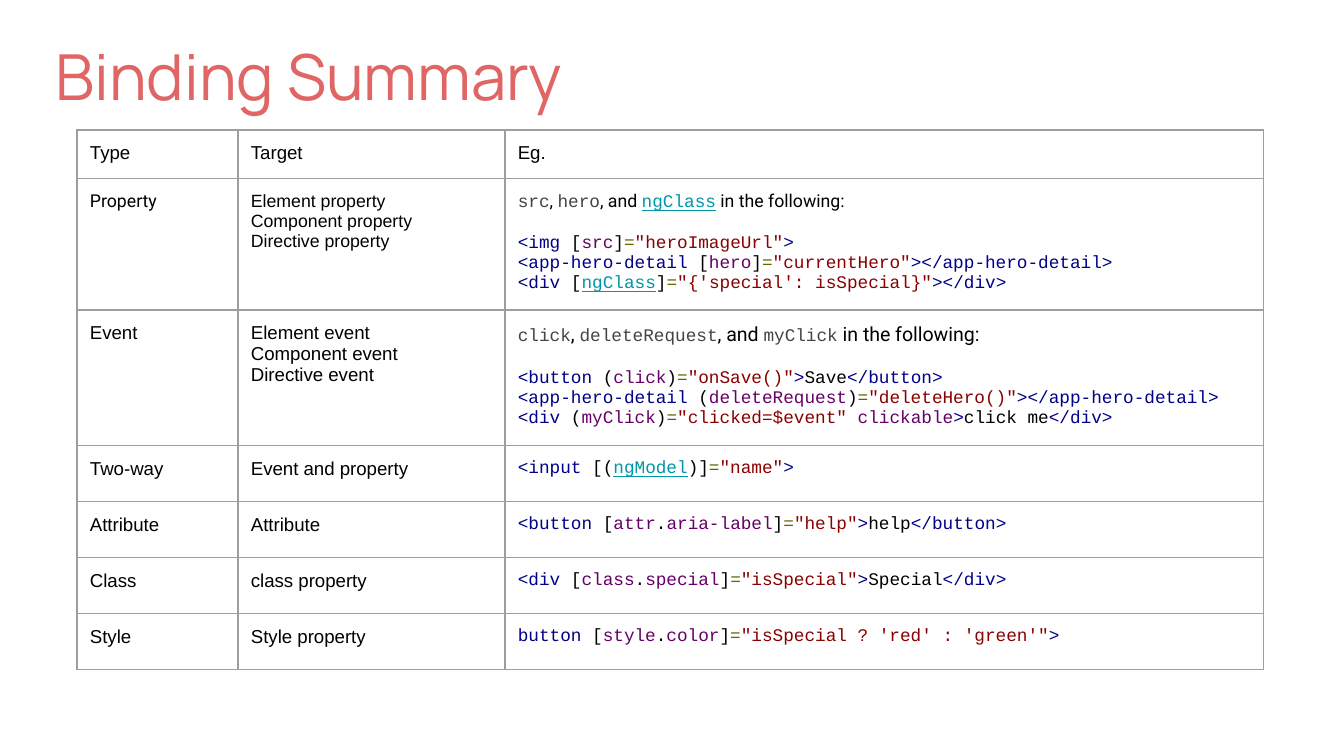
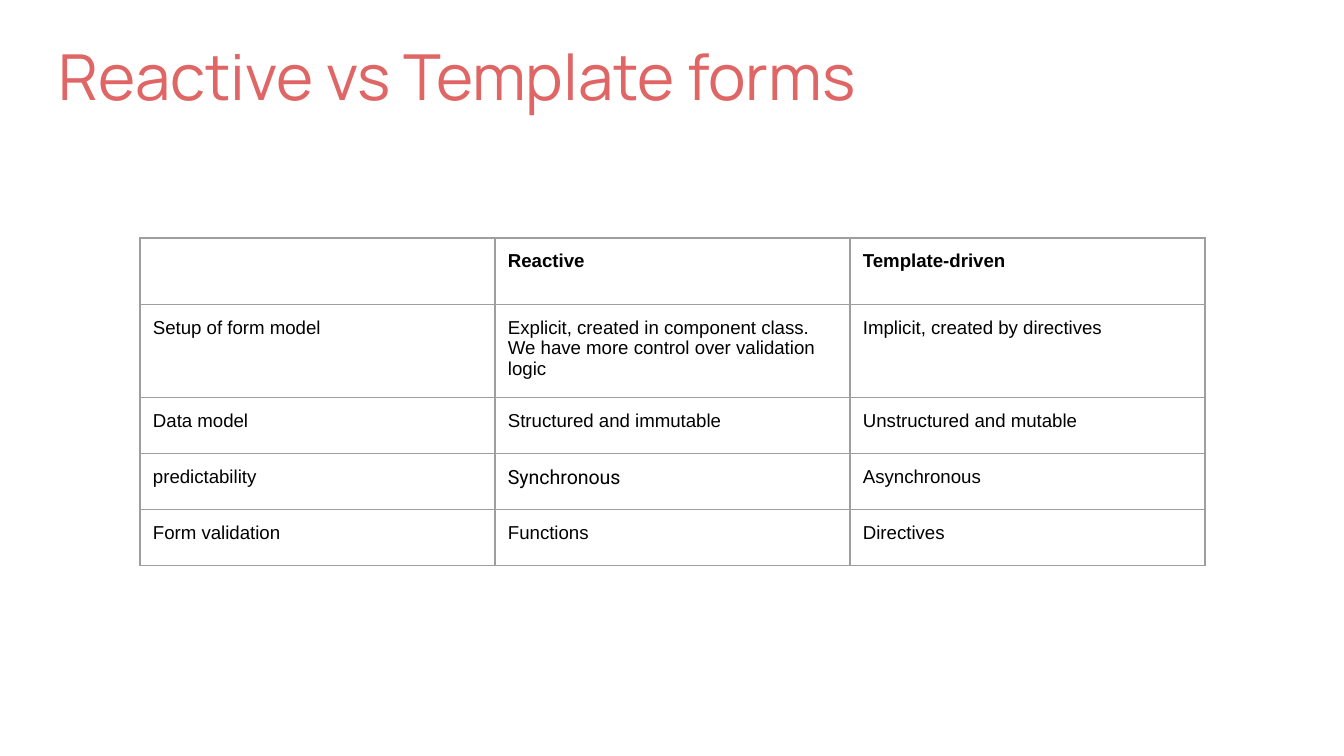
import dataclasses

import pptx
import pptx.dml.color
import pptx.enum.text
import pptx.oxml.ns
import pptx.util
from lxml import etree


# Theme: colours, fonts and type sizes
@dataclasses.dataclass(frozen=True)
class Theme:
    paper: str = "FFFFFF"
    title: str = "E06666"
    text: str = "000000"
    border: str = "9E9E9E"
    mention: str = "444444"
    link: str = "0097A7"
    tag: str = "000088"
    attribute: str = "660066"
    equals: str = "666600"
    value: str = "880000"
    title_font: str = "Manrope"
    body_font: str = "Arial"
    prose_font: str = "Roboto"
    code_font: str = "Courier New"
    title_size: float = 34
    body_size: float = 10
    code_size: float = 9.5
    prose_size: float = 10.5
    border_width: float = 0.75


THEME = Theme()
PIXELS_PER_INCH = 134.4
SLIDE_SIZE = (1344, 756)
INSET = 13
ROW = 56
LINKED = {"ngClass", "ngModel"}


def px(length):
    return pptx.util.Emu(round(length * 914400 / PIXELS_PER_INCH))


# Text: a span is (text, format), a line is a list of spans
def span(text, **style):
    return text, style


def prose(text, size=THEME.prose_size):
    return span(text, font=THEME.prose_font, size=size)


def code(text, color=THEME.text):
    linked = text in LINKED
    return span(text, font=THEME.code_font, size=THEME.code_size,
                color=THEME.link if linked else color, underline=linked)


def mention(text):
    return code(text, THEME.mention)


def lines(*texts, **style):
    return [[span(text, **style)] for text in texts]


def binding(tag, target, value, end=">", body="", flag=""):
    """Spans of one markup line, such as <div [name]="value">body</div>."""
    name = target.strip("[]()")
    opening, closing = target.split(name)
    spans = [code(tag, THEME.tag), code(" " + opening)]
    for index, part in enumerate(name.split(".")):
        if index:
            spans.append(code("."))
        spans.append(code(part, THEME.attribute))
    spans += [code(closing), code("=", THEME.equals)]
    if flag:
        spans += [code(f'"{value}" ', THEME.value), code(flag, THEME.attribute)]
    else:
        spans.append(code(f'"{value}"', THEME.value))
    spans.append(code(end, THEME.tag))
    if body:
        spans += [code(body), code(f"</{tag[1:]}>", THEME.tag)]
    return spans


def add_span(para, text, font=THEME.body_font, size=THEME.body_size,
             color=THEME.text, bold=False, underline=False):
    run = para.add_run()
    run.text = text
    run.font.name = font
    run.font.size = pptx.util.Pt(size)
    run.font.bold = bold
    run.font.underline = underline
    run.font.color.rgb = pptx.dml.color.RGBColor.from_string(color)


def fill_text(frame, content, gap=0):
    """Write the lines; gap is the space in points below the first one."""
    for index, spans in enumerate(content):
        para = frame.add_paragraph() if index else frame.paragraphs[0]
        if index == 1 and gap:
            para.space_before = pptx.util.Pt(gap)
        for text, style in spans:
            add_span(para, text, **style)


def set_insets(target):
    target.margin_left = target.margin_right = px(INSET)
    target.margin_top = target.margin_bottom = px(INSET)


# Slide parts
def add_page(deck, title, left, width):
    page = deck.slides.add_slide(deck.slide_layouts[6])
    page.background.fill.solid()
    page.background.fill.fore_color.rgb = pptx.dml.color.RGBColor.from_string(THEME.paper)
    box = page.shapes.add_textbox(px(left), px(24), px(width), px(102))
    frame = box.text_frame
    frame.word_wrap = True
    frame.vertical_anchor = pptx.enum.text.MSO_ANCHOR.BOTTOM
    set_insets(frame)
    fill_text(frame, lines(title, font=THEME.title_font, size=THEME.title_size,
                           color=THEME.title))
    return page


def add_borders(cell):
    properties = cell._tc.get_or_add_tcPr()
    for side in ("lnL", "lnR", "lnT", "lnB"):
        line = etree.SubElement(properties, pptx.oxml.ns.qn(f"a:{side}"),
                                w=str(pptx.util.Pt(THEME.border_width)))
        fill = etree.SubElement(line, pptx.oxml.ns.qn("a:solidFill"))
        etree.SubElement(fill, pptx.oxml.ns.qn("a:srgbClr"), val=THEME.border)


def add_grid(page, left, top, widths, heights, rows, gaps=None):
    """Table of cells; gaps maps (row, column) to a gap for fill_text."""
    gaps = gaps or {}
    table = page.shapes.add_table(len(heights), len(widths), px(left), px(top),
                                  px(sum(widths)), px(sum(heights))).table
    table.first_row = table.horz_banding = False
    for column, width in zip(table.columns, widths):
        column.width = px(width)
    for row, height in zip(table.rows, heights):
        row.height = px(height)
    for row_index, row in enumerate(rows):
        for column_index, content in enumerate(row):
            cell = table.cell(row_index, column_index)
            set_insets(cell)
            add_borders(cell)
            cell.fill.background()
            fill_text(cell.text_frame, lines(content) if isinstance(content, str) else content,
                      gaps.get((row_index, column_index), 0))


# Slides
def add_binding_summary(deck):
    page = add_page(deck, "Binding Summary", 43, 659)
    small = THEME.code_size
    property_examples = [
        [mention("src"), prose(", ", small), mention("hero"), prose(", and ", small),
         code("ngClass"), prose(" in the following:", small)],
        binding("<img", "[src]", "heroImageUrl"),
        binding("<app-hero-detail", "[hero]", "currentHero", "></app-hero-detail>"),
        binding("<div", "[ngClass]", "{'special': isSpecial}", "></div>"),
    ]
    event_examples = [
        [mention("click"), prose(", "), mention("deleteRequest"), prose(", and "),
         mention("myClick"), prose(" in the following:")],
        binding("<button", "(click)", "onSave()", body="Save"),
        binding("<app-hero-detail", "(deleteRequest)", "deleteHero()", "></app-hero-detail>"),
        binding("<div", "(myClick)", "clicked=$event", body="click me", flag="clickable"),
    ]
    rows = [
        ["Type", "Target", "Eg."],
        [[[prose("Property", small)]],
         lines("Element property", "Component property", "Directive property", size=small),
         property_examples],
        ["Event", lines("Element event", "Component event", "Directive event"), event_examples],
        ["Two-way", "Event and property", [binding("<input", "[(ngModel)]", "name")]],
        ["Attribute", "Attribute",
         [binding("<button", "[attr.aria-label]", "help", body="help")]],
        ["Class", "class property",
         [binding("<div", "[class.special]", "isSpecial", body="Special")]],
        ["Style", "Style property",
         [binding("button", "[style.color]", "isSpecial ? 'red' : 'green'")]],
    ]
    add_grid(page, 77, 130, [161, 267, 759], [48, 130, 133] + [ROW] * 4, rows,
             gaps={(1, 2): 11, (2, 2): 12})


def add_forms_comparison(deck):
    page = add_page(deck, "Reactive vs Template forms", 46, 985)
    rows = [
        [[], lines("Reactive", bold=True), lines("Template-driven", bold=True)],
        ["Setup of form model",
         "Explicit, created in component class. We have more control over validation logic",
         "Implicit, created by directives"],
        ["Data model", "Structured and immutable", "Unstructured and mutable"],
        ["predictability", [[prose("Synchronous")]], "Asynchronous"],
        ["Form validation", "Functions", "Directives"],
    ]
    add_grid(page, 140, 238, [355] * 3, [64, 89] + [ROW] * 3, rows)


def main():
    deck = pptx.Presentation()
    deck.slide_width, deck.slide_height = map(px, SLIDE_SIZE)
    add_binding_summary(deck)
    add_forms_comparison(deck)
    deck.save("out.pptx")


if __name__ == "__main__":
    main()
